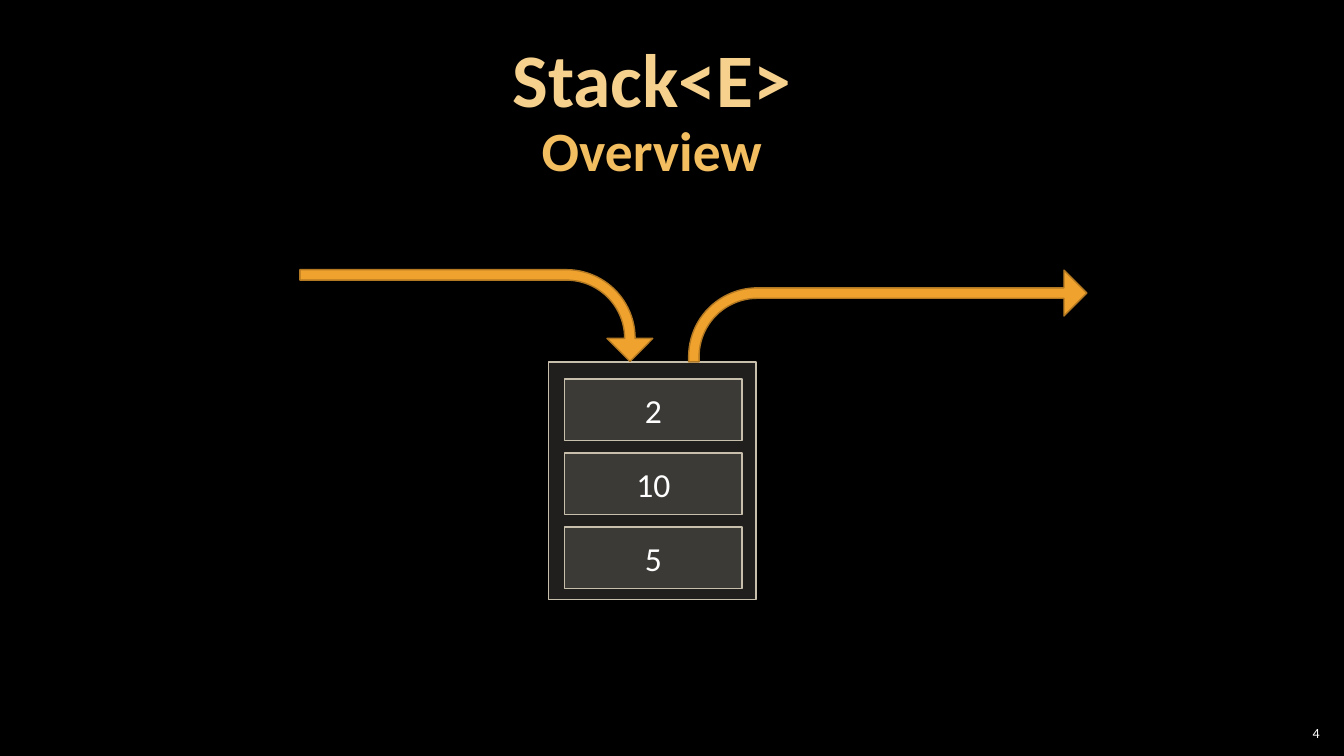
from dataclasses import dataclass

from pptx import Presentation
from pptx.dml.color import RGBColor
from pptx.enum import shapes, text
from pptx.oxml import parse_xml
from pptx.oxml.ns import nsdecls
from pptx.util import Inches, Pt


@dataclass(frozen=True)
class Theme:
    font: str = "Calibri"
    back: str = "000000"
    white: str = "FFFFFF"
    title: str = "F6D18E"
    sub: str = "F3BE60"
    box: str = "D9D5C7"
    edge: str = "C7BFAC"
    arrow: str = "F0A22E"
    rim: str = "B27822"
    big: float = 54
    mid: float = 39.6
    item: float = 24
    small: float = 10


THEME = Theme()
SHAPE = shapes.MSO_SHAPE
ALIGN = text.PP_ALIGN
ANCHOR = text.MSO_ANCHOR


def rgb(code):
    return RGBColor.from_string(code)


def add_run(para, words, size, color, bold=False):
    run = para.add_run()
    run.text = words
    font = run.font
    font.name, font.size, font.bold = THEME.font, Pt(size), bold
    font.color.rgb = rgb(color)


def set_frame(frame, side, edge, anchor, align):
    """Set insets, anchor and alignment; return the first paragraph."""
    frame.word_wrap = True
    frame.margin_left = frame.margin_right = Inches(side)
    frame.margin_top = frame.margin_bottom = Inches(edge)
    frame.vertical_anchor = anchor
    para = frame.paragraphs[0]
    para.alignment = align
    return para


def add_text(slide, place, side, anchor, align):
    box = slide.shapes.add_textbox(*map(Inches, place))
    return set_frame(box.text_frame, side, 0.04, anchor, align)


def add_shape(slide, kind, place, fill, line):
    shape = slide.shapes.add_shape(kind, *map(Inches, place))
    shape.shadow.inherit = False
    shape.fill.solid()
    shape.fill.fore_color.rgb = rgb(fill)
    shape.line.color.rgb = rgb(line)
    shape.line.width = Pt(1)
    return shape


def add_box(slide, place, words=""):
    """Add a box with a fill that is 15 percent opaque."""
    box = add_shape(slide, SHAPE.RECTANGLE, place, THEME.box, THEME.edge)
    color = box.fill._xPr.solidFill[0]
    color.append(parse_xml(f'<a:alpha {nsdecls("a")} val="15000"/>'))
    if words:
        para = set_frame(box.text_frame, 0.2, 0.1, ANCHOR.MIDDLE, ALIGN.CENTER)
        add_run(para, words, THEME.item, THEME.white)


def add_arrow(slide, place, turn=0):
    arrow = add_shape(slide, SHAPE.BENT_ARROW, place, THEME.arrow, THEME.rim)
    for i, value in enumerate((0.114, 0.25, 0.25, 0.75)):
        arrow.adjustments[i] = value
    arrow.rotation = turn


def add_title(slide):
    para = add_text(slide, (0.1, 0.38, 12.73, 2.08), 0.12,
                    ANCHOR.TOP, ALIGN.CENTER)
    para.line_spacing = 0.9
    add_run(para, "Stack<E>", THEME.big, THEME.title, True)
    para.add_line_break()
    add_run(para, "Overview", THEME.mid, THEME.sub, True)


def add_stack(slide, items):
    add_box(slide, (5.44, 3.59, 2.06, 2.36))
    for i, item in enumerate(items):
        add_box(slide, (5.6, 3.76 + 0.735 * i, 1.76, 0.61), item)


def main():
    deck = Presentation()
    deck.slide_width, deck.slide_height = Inches(13.33), Inches(7.5)
    slide = deck.slides.add_slide(deck.slide_layouts[6])
    slide.background.fill.solid()
    slide.background.fill.fore_color.rgb = rgb(THEME.back)

    page = add_text(slide, (12.66, 7.17, 0.47, 0.21), 0.04,
                    ANCHOR.MIDDLE, ALIGN.RIGHT)
    add_run(page, "4", THEME.small, THEME.white)
    add_title(slide)
    add_stack(slide, ("2", "10", "5"))
    add_arrow(slide, (4.27, 1.38, 0.91, 3.5), 90)
    add_arrow(slide, (6.83, 2.68, 3.95, 0.91))
    deck.save("out.pptx")


if __name__ == "__main__":
    main()
